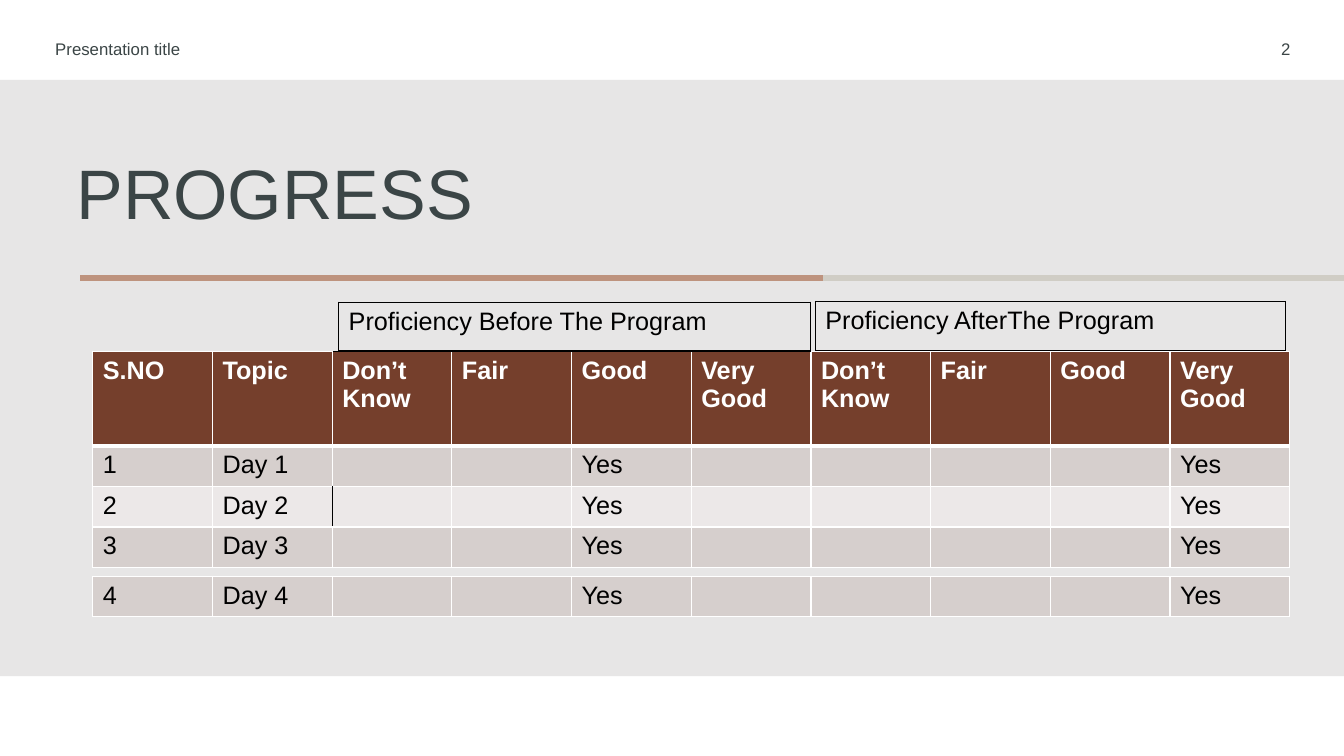
from lxml.etree import SubElement
from pptx import Presentation
from pptx.dml.color import RGBColor
from pptx.enum.shapes import MSO_CONNECTOR, MSO_SHAPE
from pptx.enum.text import MSO_ANCHOR, PP_ALIGN
from pptx.oxml.ns import qn
from pptx.util import Pt

WHITE, BLACK, SLATE = "FFFFFF", "000000", "3B4546"
PANEL, BROWN, BAND, LIGHT_BAND = "E7E6E6", "753F2C", "D6CFCD", "ECE8E8"
COPPER, STONE = "BE937E", "D0CDC5"

LEVELS = ["Don’t Know", "Fair", "Good", "Very Good"]
HEADINGS = ["S.NO", "Topic"] + LEVELS * 2
COLUMN_WIDTH = 85.5
SIDES = {"left": "a:lnL", "right": "a:lnR", "top": "a:lnT", "bottom": "a:lnB"}


def color(hex_string):
    return RGBColor.from_string(hex_string)


def set_attributes(target, values):
    for name, value in values.items():
        setattr(target, name, value)


def write(paragraph, text, size, hex_color, bold=False):
    run = paragraph.add_run()
    run.text = text
    set_attributes(run.font, {"name": "Arial", "size": Pt(size), "bold": bold})
    run.font.color.rgb = color(hex_color)


def add_label(slide, box, text, size, anchor=MSO_ANCHOR.MIDDLE, **paragraph_format):
    frame = slide.shapes.add_textbox(*map(Pt, box)).text_frame
    set_attributes(frame, {"word_wrap": True, "vertical_anchor": anchor})
    paragraph = frame.paragraphs[0]
    set_attributes(paragraph, paragraph_format)
    write(paragraph, text, size, SLATE)


def set_borders(cell, borders):
    """Draw cell edges from a dict of side: (colour, width)."""
    properties = cell._tc.get_or_add_tcPr()
    for index, (side, tag) in enumerate(SIDES.items()):
        hex_color, width = borders[side]
        line = properties.makeelement(qn(tag), {"w": str(Pt(width))})
        fill = SubElement(line, qn("a:solidFill"))
        SubElement(fill, qn("a:srgbClr"), val=hex_color)
        properties.insert(index, line)


def add_grid(slide, left, top, column_widths, row_heights):
    frame = slide.shapes.add_table(
        len(row_heights), len(column_widths), Pt(left), Pt(top),
        Pt(sum(column_widths)), Pt(sum(row_heights)))
    table = frame.table
    set_attributes(table, {"first_row": False, "horz_banding": False})
    for column, width in zip(table.columns, column_widths):
        column.width = Pt(width)
    for row, height in zip(table.rows, row_heights):
        row.height = Pt(height)
    return table


def fill_cell(cell, text, fill=None, hex_color=BLACK, bold=False, border=WHITE, **borders):
    if fill:
        cell.fill.solid()
        cell.fill.fore_color.rgb = color(fill)
    else:
        cell.fill.background()
    set_borders(cell, {side: (border, 1) for side in SIDES} | borders)
    if text:
        write(cell.text_frame.paragraphs[0], text, 18, hex_color, bold)


def fill_day_row(table, row, day):
    fill = BAND if day != 2 else LIGHT_BAND
    texts = {0: str(day), 1: f"Day {day}", 4: "Yes", 9: "Yes"}
    for column in range(len(HEADINGS)):
        borders = {}
        if day == 1:
            borders["top"] = (WHITE, 3)
        if day == 2 and column in (1, 2):
            borders["right" if column == 1 else "left"] = (BLACK, 1)
        fill_cell(table.cell(row, column), texts.get(column), fill, **borders)


def add_progress_tables(slide, left, top):
    """Place the main table, then the separate last day below it."""
    widths = [COLUMN_WIDTH] * len(HEADINGS)
    table = add_grid(slide, left, top, widths, [67.6] + [29] * 3)
    for column, heading in enumerate(HEADINGS):
        fill_cell(table.cell(0, column), heading, BROWN, WHITE, True,
                  top=(BLACK if column == 2 else WHITE, 1), bottom=(WHITE, 3))
    for day in range(1, 4):
        fill_day_row(table, day, day)
    fill_day_row(add_grid(slide, left, top + 161, widths, [28]), 0, 4)


def add_group_heading(slide, box, text):
    left, top, width, height = box
    table = add_grid(slide, left, top, [width], [height])
    fill_cell(table.cell(0, 0), text, border=BLACK)


def add_panel(slide, box):
    panel = slide.shapes.add_shape(MSO_SHAPE.RECTANGLE, *map(Pt, box))
    panel.shadow.inherit = False
    panel.fill.solid()
    panel.fill.fore_color.rgb = color(PANEL)
    panel.line.fill.background()


def add_rule(slide, start, end, y, hex_color):
    rule = slide.shapes.add_connector(
        MSO_CONNECTOR.STRAIGHT, Pt(start), Pt(y), Pt(end), Pt(y))
    rule.line.color.rgb = color(hex_color)
    rule.line.width = Pt(4.5)
    SubElement(rule._element.spPr, qn("a:effectLst"))


def main():
    presentation = Presentation()
    set_attributes(presentation, {"slide_width": Pt(960), "slide_height": Pt(540)})
    slide = presentation.slides.add_slide(presentation.slide_layouts[6])
    add_panel(slide, (0, 57, 960, 426))
    add_rule(slide, 588, 960, 198.6, STONE)
    add_rule(slide, 57.4, 588, 198.6, COPPER)
    add_label(slide, (47.5, 115.2, 828, 45.4), "PROGRESS", 50,
              MSO_ANCHOR.TOP, line_spacing=0.8)
    add_label(slide, (32.4, 23.8, 144, 21.6), "Presentation title", 12)
    add_label(slide, (797, 23.8, 131.8, 21.6), "2", 12, alignment=PP_ALIGN.RIGHT)
    add_progress_tables(slide, 66.3, 250.8)
    add_group_heading(slide, (241.9, 215.8, 337, 35), "Proficiency Before The Program")
    add_group_heading(slide, (582.4, 215.3, 336, 35), "Proficiency AfterThe Program")
    presentation.save("out.pptx")


if __name__ == "__main__":
    main()
